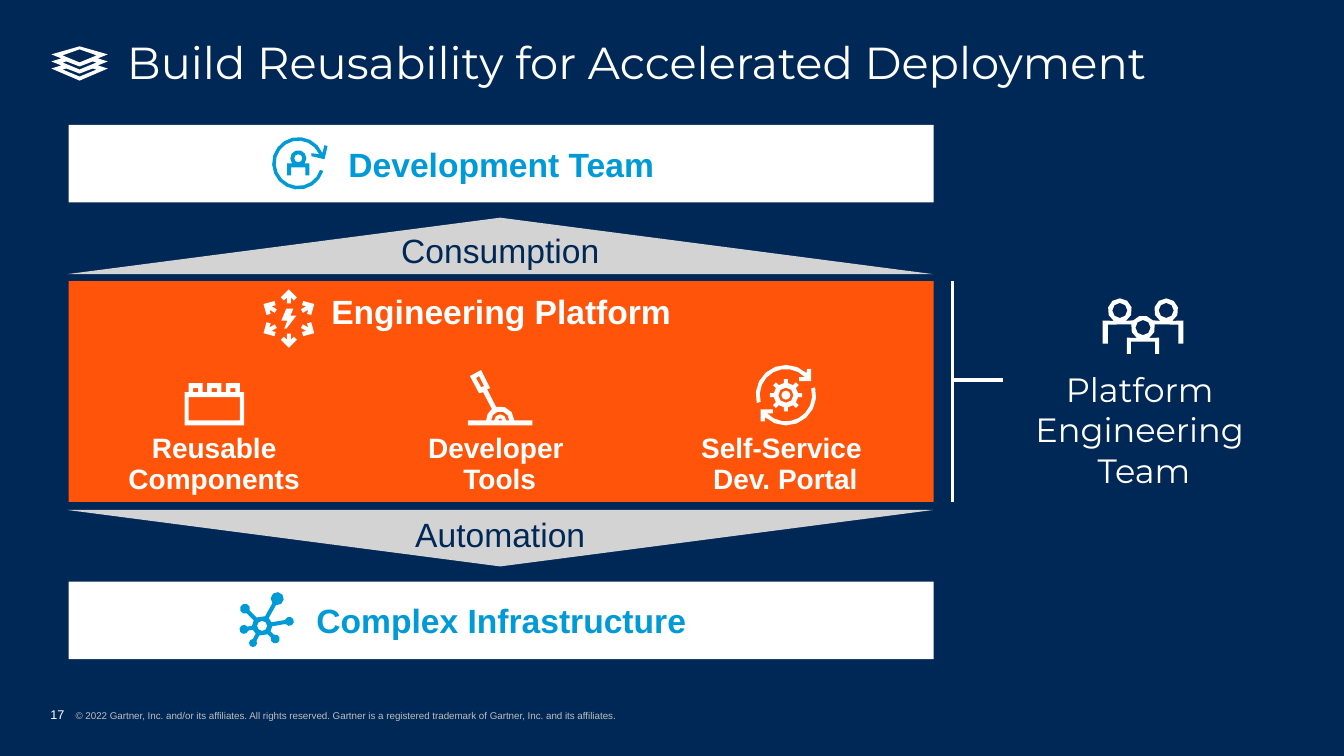
"""Build the platform engineering slide."""
from collections import namedtuple
from dataclasses import dataclass
from math import asin, atan2, cos, degrees, radians, sin

from lxml.etree import SubElement
from pptx import Presentation
from pptx.dml.color import RGBColor as Rgb
from pptx.enum.shapes import MSO_CONNECTOR as Connector, MSO_SHAPE as Shape
from pptx.enum.text import MSO_ANCHOR as Anchor, MSO_AUTO_SIZE as AutoSize, PP_ALIGN as Align
from pptx.oxml.ns import qn
from pptx.util import Pt

Box = namedtuple("Box", "left top width height")


@dataclass(frozen=True)
class Theme:
    """Colours, fonts and type sizes of the slide."""
    navy: Rgb = Rgb(0x00, 0x28, 0x56)
    white: Rgb = Rgb(0xFF, 0xFF, 0xFF)
    blue: Rgb = Rgb(0x00, 0x9A, 0xD7)
    orange: Rgb = Rgb(0xFF, 0x54, 0x0A)
    grey: Rgb = Rgb(0xD3, 0xD3, 0xD3)
    note: Rgb = Rgb(0xBD, 0xBD, 0xBD)
    body_font: str = "Arial"
    title_font: str = "Montserrat"
    title: int = 32
    heading: int = 24
    label: int = 20
    number: int = 9
    small: int = 7


THEME = Theme()
ICON_UNIT = Pt(0.72)


def points(text):
    """Read one outline from 'x,y' pairs."""
    return [tuple(float(value) for value in pair.split(",")) for pair in text.split()]


def arc(x, y, radius, start=0, end=360):
    """Return points along an arc, in degrees clockwise from the right."""
    step_angle = 45 if radius < 8 else 36 if radius < 20 else 20
    steps = max(1, round(abs(end - start) / step_angle))
    angles = [radians(start + (end - start) * step / steps) for step in range(steps + 1)]
    return [(x + radius * cos(angle), y + radius * sin(angle)) for angle in angles]


def turn(outline, angle, x, y):
    """Rotate an outline about a centre."""
    c, s = cos(radians(angle)), sin(radians(angle))
    return [(x + (px - x) * c - (py - y) * s, y + (px - x) * s + (py - y) * c) for px, py in outline]


def layers_icon():
    """Outline three stacked sheets."""
    return [points(text) for text in (
        "46,12 56,8 28,0 0,8 10,12 0,15 10,19 0,22 28,34 56,22 46,19 56,15",
        "28,3 45,9 28,16 11,9", "28,20 41,15 45,16 28,23 11,16 15,15",
        "45,23 28,30 11,23 15,22 28,27 41,22")]


def burst_icon():
    """Outline a bolt within six outward arrows."""
    arrow = points("25.5,0 17.5,8 20.5,11 23.5,8 23.5,14 27.5,14 27.5,8 30.5,11 33.5,8")
    bolt = points("30,19 27,26 33,26 23,39 21,39 24,31 18,31 23,19")
    return [bolt] + [turn(arrow, angle, 25.5, 29) for angle in range(0, 360, 60)]


def developer_icon():
    """Outline a person inside a circular arrow."""
    person = points("37,38 37,26") + arc(26, 21, 8, 39, -219) + points(
        "15,26 15,38 19,38 19,30 33,30 33,38")
    loop = points("39,16 47,17") + arc(26, 26, 22.5, -25, -343) + arc(26, 26, 26, 17, 337) + points(
        "52,8 55,9 52,22 39,19")
    return [person, arc(26, 21, 4), loop]


def network_icon():
    """Outline a hub with spokes to six nodes."""
    x, y, hub, half = 22, 33, 10, 2
    nodes = [(49, 28.5, 4.5), (35, 46, 4.5), (13, 50, 4), (4, 36.5, 4.5), (5, 16, 5), (37, 6, 6.5)]
    angles = [degrees(atan2(ny - y, nx - x)) % 360 for nx, ny, _ in nodes]
    gap, outline = degrees(asin(half / hub)), []
    for index, (nx, ny, radius) in enumerate(nodes):
        angle, bend = angles[index], degrees(asin(half / radius))
        sweep = (angles[(index + 1) % len(nodes)] - angle) % 360
        outline += arc(nx, ny, radius, angle + 180 + bend, angle + 540 - bend)
        outline += arc(x, y, hub, angle + gap, angle + sweep - gap)
    return [outline, arc(x, y, 5)]


def team_icon():
    """Outline three people side by side."""
    outline = (arc(63, 12, 12, 60, -240) + arc(40, 29, 12, -37, -143) + arc(17, 12, 12, 60, -240)
               + points("0,22 0,45 5,45 5,26") + arc(40, 29, 12, 195, 120)
               + points("24,39 24,55 28,55 28,43 52,43 52,55 56,55 56,39")
               + arc(40, 29, 12, 60, -15) + points("75,26 75,45 80,45 80,22"))
    return [outline] + [arc(x, y, 7.5) for x, y in ((17, 12), (40, 29), (63, 12))]


def brick_icon():
    """Outline a building brick with three studs."""
    outline = points("0,42 0,9")
    for x in (4, 22.5, 41):
        outline += [(x, 9), (x, 0), (x + 14, 0), (x + 14, 9)]
    windows = [[(x, 5), (x + 5, 5), (x + 5, 9), (x, 9)] for x in (8.5, 27, 45.5)]
    return [outline + points("59,9 59,42"), points("4,14 55,14 55,37 4,37")] + windows


def lever_icon():
    """Outline a lever on a round base."""
    outline = arc(32, 50, 14, 0, -107) + points("19,19 22,18 13,0 2,6 11,23 15,22") + arc(
        32, 50, 14, -126, -180) + points("0,50 0,55 64,55 64,50")
    band = arc(32, 50, 9, -180, 0) + arc(32, 50, 6, 0, -180)
    return [outline, points("13,17 8,8 11,6 16,16"), band, arc(32, 50, 2, -180, 0)]


def portal_icon():
    """Outline a gear between two circular arrows."""
    tooth = points("42,28 46,28 46,32 42,32")
    gear = [corner for angle in range(0, 360, 45) for corner in turn(tooth, angle, 30, 30)]
    arrow = arc(30, 30, 30, -15, 133) + points("9,56 5,56 5,44 17,44 17,48 12,48") + arc(
        30, 30, 26, 137, -15)
    return [gear, arc(30, 30, 7.5), arc(30, 30, 4.5), arrow, turn(arrow, 180, 30, 30)]


def add_icon(page, outlines, left, top, color):
    """Draw an icon as one freeform at the given corner."""
    scaled = [[(x * ICON_UNIT, y * ICON_UNIT) for x, y in outline] for outline in outlines]
    builder = page.shapes.build_freeform(*scaled[0][0], scale=1.0)
    for index, outline in enumerate(scaled):
        if index:
            builder.move_to(*outline[0])
        builder.add_line_segments(outline[1:], close=True)
    paint(builder.convert_to_shape(Pt(left), Pt(top)), color)


def paint(shape, color):
    """Give a shape a plain fill."""
    shape.shadow.inherit = False
    shape.fill.solid()
    shape.fill.fore_color.rgb = color
    shape.line.fill.background()


def set_text(shape, text, size, color, font=THEME.body_font, bold=False, spacing=1.0,
             align=Align.CENTER, anchor=Anchor.TOP, insets=(2.88, 3.6, 2.88, 3.6)):
    """Write one formatted paragraph into a shape."""
    frame = shape.text_frame
    frame.word_wrap, frame.auto_size, frame.vertical_anchor = True, AutoSize.NONE, anchor
    frame.margin_left, frame.margin_top, frame.margin_right, frame.margin_bottom = map(Pt, insets)
    para = frame.paragraphs[0]
    para.text, para.alignment, para.line_spacing = text, align, spacing
    para.font.name, para.font.size, para.font.bold = font, Pt(size), bold
    para.font.color.rgb = color


def add_label(page, box, text, size, color, **style):
    """Add a text box."""
    set_text(page.shapes.add_textbox(*map(Pt, box)), text, size, color, **style)


def add_bar(page, box, text, icon, offset, fill, color, anchor=Anchor.MIDDLE, top_inset=3.6):
    """Add a full-width bar with its heading and icon."""
    bar = page.shapes.add_shape(Shape.RECTANGLE, *map(Pt, box))
    paint(bar, fill)
    set_text(bar, text, THEME.heading, color, bold=True, anchor=anchor, insets=(0, top_inset, 0, 3.6))
    add_icon(page, icon, box.left + offset[0], box.top + offset[1], color)


def add_wedge(page, box, text, label_top, rotation=0):
    """Add a flat triangle with a centred label."""
    wedge = page.shapes.add_shape(Shape.ISOSCELES_TRIANGLE, *map(Pt, box))
    paint(wedge, THEME.grey)
    wedge.rotation = rotation
    width = 262
    label = Box(box.left + (box.width - width) / 2, box.top + label_top, width, 36)
    add_label(page, label, text, THEME.heading, THEME.navy)


def add_platform(page, box):
    """Add the platform block with its three components."""
    add_bar(page, box, "Engineering Platform", burst_icon(), (139, 5.8), THEME.orange, THEME.white,
            Anchor.TOP, 7.2)
    components = [("Reusable Components", brick_icon(), 71.3, 72.7),
                  ("Developer \nTools", lever_icon(), 69.8, 63.4),
                  ("Self-Service \nDev. Portal", portal_icon(), 71.3, 59.8)]
    for index, (text, icon, x, y) in enumerate(components):
        left = box.left + 11.5 + 204 * index
        add_icon(page, icon, left + x, box.top + y, THEME.white)
        add_label(page, Box(left, box.top + 106, 185, 51), text, THEME.label, THEME.white,
                  bold=True, spacing=0.9)


def add_team(page, box):
    """Add the bracket and the team beside the platform."""
    middle = box.top + 70.5
    for ends in ((box.left, box.top, box.left, box.top + box.height),
                 (box.left, middle, box.left + 36, middle)):
        line = page.shapes.add_connector(Connector.STRAIGHT, *map(Pt, ends))
        line.line.color.rgb, line.line.width = THEME.white, Pt(2.25)
        SubElement(line._element.spPr, qn("a:effectLst"))
    add_icon(page, team_icon(), box.left + 107.3, box.top + 12.2, THEME.white)
    add_label(page, Box(box.left + 54, box.top + 59, 165.6, 94.3), "Platform \nEngineering \nTeam",
              THEME.heading, THEME.white, font=THEME.title_font)


def add_title(page, box):
    """Format the title and place its icon."""
    title = page.shapes.title
    title.left, title.top, title.width, title.height = map(Pt, box)
    set_text(title, "Build Reusability for Accelerated Deployment", THEME.title, THEME.white,
             font=THEME.title_font, spacing=0.9, align=Align.LEFT, insets=(0, 0, 0, 0))
    add_icon(page, layers_icon(), box.left - 54, box.top + 4.3, THEME.white)


def add_footer(page, box):
    """Add the page number and copyright line."""
    footer = page.shapes.add_textbox(*map(Pt, box))
    set_text(footer, "17", THEME.number, THEME.white, align=Align.LEFT, anchor=Anchor.BOTTOM,
             insets=(0, 0, 0, 0))
    para = footer.text_frame.paragraphs[0]
    settings = para._p.get_or_add_pPr()
    settings.set("marL", str(Pt(18)))
    settings.set("indent", str(-Pt(18)))
    span = para.add_run()
    span.text = ("\t© 2022 Gartner, Inc. and/or its affiliates. All rights reserved. "
                 "Gartner is a registered trademark of Gartner, Inc. and its affiliates.")
    span.font.size, span.font.color.rgb = Pt(THEME.small), THEME.note


def main():
    """Build and save the deck."""
    deck = Presentation()
    deck.slide_width, deck.slide_height = Pt(960), Pt(540)
    page = deck.slides.add_slide(deck.slide_layouts[5])
    page.background.fill.solid()
    page.background.fill.fore_color.rgb = THEME.navy
    left, width = 49, 618
    add_title(page, Box(90.7, 28.8, 833, 34.6))
    add_bar(page, Box(left, 89.3, width, 55.4), "Development Team", developer_icon(), (145.4, 8.6),
            THEME.white, THEME.blue)
    add_wedge(page, Box(left - 0.7, 155.5, width, 40.3), "Consumption", 5.1)
    add_platform(page, Box(left, 200.9, width, 157.7))
    add_wedge(page, Box(left - 0.7, 364.3, width, 40.3), "Automation", -0.7, 180)
    add_bar(page, Box(left, 415.4, width, 55.4), "Complex Infrastructure", network_icon(), (122.4, 7.9),
            THEME.white, THEME.blue)
    add_team(page, Box(680.4, 200.9, 219.6, 157.7))
    add_footer(page, Box(36, 504.7, 565, 10.8))
    deck.save("out.pptx")


if __name__ == "__main__":
    main()
